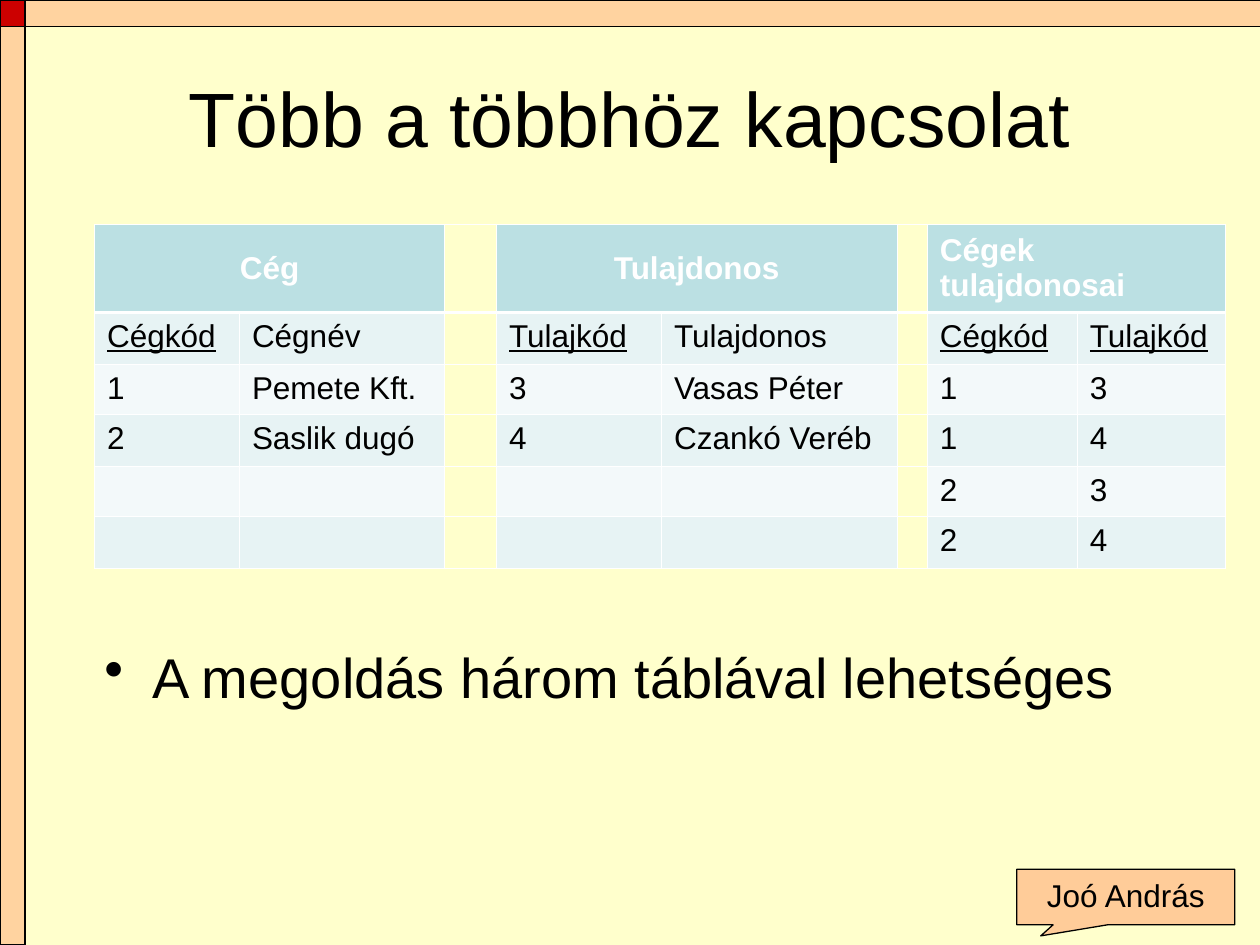
from dataclasses import dataclass

from lxml import etree
from pptx import Presentation
from pptx.dml.color import RGBColor
from pptx.enum.shapes import MSO_SHAPE
from pptx.enum.text import MSO_ANCHOR, PP_ALIGN
from pptx.oxml.ns import qn
from pptx.util import Inches, Pt

RECTANGLE = MSO_SHAPE.RECTANGLE
CALLOUT = MSO_SHAPE.RECTANGULAR_CALLOUT
LEFT, CENTER = PP_ALIGN.LEFT, PP_ALIGN.CENTER
TOP, MIDDLE = MSO_ANCHOR.TOP, MSO_ANCHOR.MIDDLE


@dataclass(frozen=True)
class Theme:
    font: str = "Arial"
    background: str = "FFFFCC"
    frame: str = "FFCC99"
    corner: str = "CC0000"
    ink: str = "000000"
    header: str = "BBE0E3"
    bands: tuple[str, str] = ("E7F3F4", "F3F9FA")
    grid: str = "FFFFFF"
    thin: float = 0.45
    thick: float = 1.47
    outline: float = 0.75
    title_size: int = 44
    body_size: int = 32
    small_size: int = 18


@dataclass(frozen=True)
class Box:
    left: float
    top: float
    width: float
    height: float

    def lengths(self) -> tuple:
        return tuple(Inches(n) for n in (self.left, self.top, self.width, self.height))


@dataclass(frozen=True)
class Panel:
    box: Box
    color: str
    opacity: int = 100
    preset: int = RECTANGLE


@dataclass(frozen=True)
class Relation:
    title: str
    align: int
    first_column: int
    fields: tuple[str, str]
    keys: tuple[str, ...]
    records: tuple[tuple[str, str], ...]


THEME = Theme()
PANELS = (
    Panel(Box(0, 0.21, 0.2, 7.29), THEME.frame, 85),
    Panel(Box(0.2, 0, 9.84, 0.21), THEME.frame, 85),
    Panel(Box(0, 0, 0.2, 0.21), THEME.corner),
)
AUTHOR = Panel(Box(8.07, 6.9, 1.73, 0.44), THEME.frame, preset=CALLOUT)
TABLE_BOX = Box(0.75, 1.78, 8.98, 2.73)
COLUMN_WIDTHS = (1.15, 1.63, 0.41, 1.31, 1.87, 0.24, 1.19, 1.18)
ROW_HEIGHTS = (0.7, 0.41, 0.4, 0.41, 0.4, 0.41)
RELATIONS = (
    Relation("Cég", CENTER, 0, ("Cégkód", "Cégnév"), ("Cégkód",),
             (("1", "Pemete Kft."), ("2", "Saslik dugó"))),
    Relation("Tulajdonos", CENTER, 3, ("Tulajkód", "Tulajdonos"), ("Tulajkód",),
             (("3", "Vasas Péter"), ("4", "Czankó Veréb"))),
    Relation("Cégek tulajdonosai", LEFT, 6, ("Cégkód", "Tulajkód"), ("Cégkód", "Tulajkód"),
             (("1", "3"), ("1", "4"), ("2", "3"), ("2", "4"))),
)


def write(frame, text: str, size: int, color: str = THEME.ink, align: int = LEFT,
          bold: bool = False, underline: bool = False) -> None:
    frame.text = text
    paragraph = frame.paragraphs[0]
    paragraph.alignment = align
    font = paragraph.runs[0].font
    font.name, font.size = THEME.font, Pt(size)
    font.bold, font.underline = bold, underline
    font.color.rgb = RGBColor.from_string(color)


def draw_panel(slide, panel: Panel):
    shape = slide.shapes.add_shape(panel.preset, *panel.box.lengths())
    shape.shadow.inherit = False
    shape.fill.solid()
    shape.fill.fore_color.rgb = RGBColor.from_string(panel.color)
    if panel.opacity < 100:
        tint = shape.fill._xPr.find(qn("a:solidFill"))[0]
        etree.SubElement(tint, qn("a:alpha"), val=str(panel.opacity * 1000))
    shape.line.color.rgb = RGBColor.from_string(THEME.ink)
    shape.line.width = Pt(THEME.outline)
    return shape


def draw_author(slide) -> None:
    callout = draw_panel(slide, AUTHOR)
    callout.adjustments[0], callout.adjustments[1] = -0.39, 0.7
    callout.text_frame.vertical_anchor = TOP
    write(callout.text_frame, "Joó András", THEME.small_size, align=CENTER)


def draw_text(slide, box: Box, text: str, size: int, align: int, anchor: int):
    frame = slide.shapes.add_textbox(*box.lengths()).text_frame
    frame.word_wrap = True
    frame.vertical_anchor = anchor
    write(frame, text, size, align=align)
    return frame


def add_bullet(paragraph, hanging: float) -> None:
    properties = paragraph._p.get_or_add_pPr()
    properties.set("marL", str(Inches(hanging)))
    properties.set("indent", str(-Inches(hanging)))
    etree.SubElement(properties, qn("a:buChar"), char="•")


def style_cell(cell, row: int, color: str) -> None:
    """Give a cell its grid lines, heavier under the header, and its fill."""
    edges = {
        "lnL": THEME.thin,
        "lnR": THEME.thin,
        "lnT": THEME.thick if row == 1 else THEME.thin,
        "lnB": THEME.thick if row == 0 else THEME.thin,
    }
    properties = cell._tc.get_or_add_tcPr()
    for edge, width in edges.items():
        line = etree.SubElement(properties, qn(f"a:{edge}"), w=str(Pt(width)))
        fill = etree.SubElement(line, qn("a:solidFill"))
        etree.SubElement(fill, qn("a:srgbClr"), val=THEME.grid)
    cell.fill.solid()
    cell.fill.fore_color.rgb = RGBColor.from_string(color)


def fill_relation(table, relation: Relation) -> None:
    first = relation.first_column
    heading = table.cell(0, first)
    heading.merge(table.cell(0, first + 1))
    heading.vertical_anchor = MIDDLE
    write(heading.text_frame, relation.title, THEME.small_size, THEME.grid,
          relation.align, bold=True)
    for row, values in enumerate((relation.fields, *relation.records), start=1):
        for column, value in enumerate(values, start=first):
            write(table.cell(row, column).text_frame, value, THEME.small_size,
                  underline=value in relation.keys)


def draw_relations(slide) -> None:
    table = slide.shapes.add_table(len(ROW_HEIGHTS), len(COLUMN_WIDTHS),
                                   *TABLE_BOX.lengths()).table
    for column, width in zip(table.columns, COLUMN_WIDTHS):
        column.width = Inches(width)
    for row, height in zip(table.rows, ROW_HEIGHTS):
        row.height = Inches(height)
    used = {relation.first_column + offset for relation in RELATIONS for offset in (0, 1)}
    for row in range(len(ROW_HEIGHTS)):
        band = THEME.header if row == 0 else THEME.bands[(row - 1) % 2]
        for column in range(len(COLUMN_WIDTHS)):
            style_cell(table.cell(row, column), row,
                       band if column in used else THEME.background)
    for relation in RELATIONS:
        fill_relation(table, relation)


def main() -> None:
    deck = Presentation()
    deck.slide_width, deck.slide_height = Inches(10), Inches(7.5)
    slide = deck.slides.add_slide(deck.slide_layouts[6])
    slide.background.fill.solid()
    slide.background.fill.fore_color.rgb = RGBColor.from_string(THEME.background)
    for panel in PANELS:
        draw_panel(slide, panel)
    draw_author(slide)
    draw_text(slide, Box(0.5, 0.3, 9, 1.25), "Több a többhöz kapcsolat",
              THEME.title_size, CENTER, MIDDLE)
    draw_relations(slide)
    solution = draw_text(slide, Box(0.73, 5.05, 9, 1.1),
                         "A megoldás három táblával lehetséges",
                         THEME.body_size, LEFT, TOP)
    add_bullet(solution.paragraphs[0], 0.38)
    deck.save("out.pptx")


if __name__ == "__main__":
    main()
